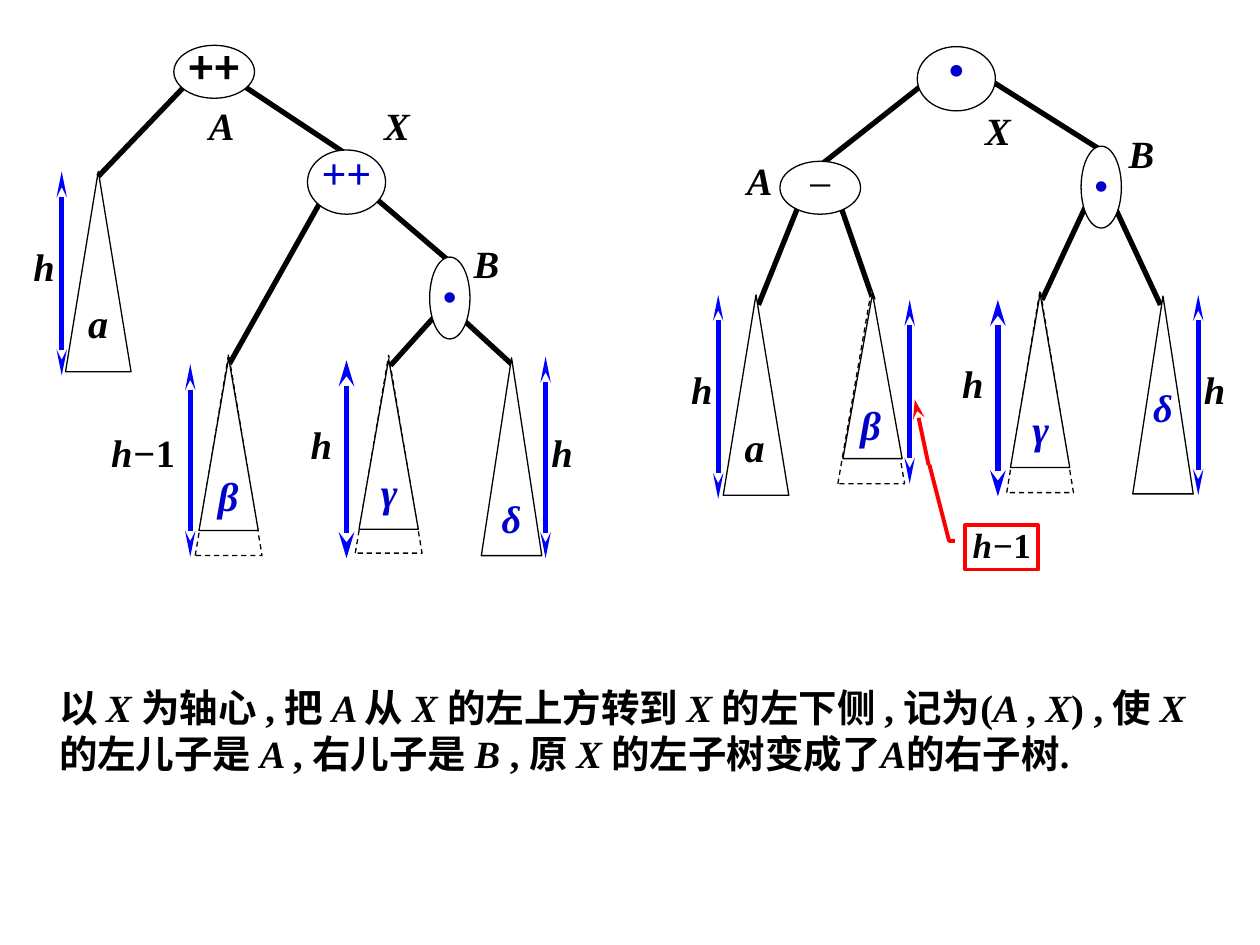
import pptx
import pptx.util
import pptx.dml.color
import pptx.enum.dml
import pptx.enum.shapes
import pptx.enum.text
import pptx.oxml.ns
from dataclasses import dataclass
from lxml import etree

Inches, Pt = pptx.util.Inches, pptx.util.Pt
Shape = pptx.enum.shapes.MSO_SHAPE
Align = pptx.enum.text.PP_ALIGN
Anchor = pptx.enum.text.MSO_ANCHOR
qn = pptx.oxml.ns.qn


@dataclass(frozen=True)
class Theme:
    black: str = "000000"
    white: str = "FFFFFF"
    blue: str = "0000FF"
    navy: str = "0000CC"
    red: str = "FF0000"
    serif: str = "Times New Roman"
    sans: str = "Noto Sans CJK SC"
    note: int = 20
    text: int = 22
    leaf: int = 23
    sign: int = 25
    dot: int = 28
    thin: float = 0.75
    mid: float = 2.25
    bold: float = 3


theme = Theme()


def color(code):
    return pptx.dml.color.RGBColor.from_string(code)


def write(frame, text, size, ink=theme.black, name=theme.serif, bold=True,
          italic=False, space=None, align=Align.CENTER, inset=(0, 0, 0, 0)):
    """Fill a frame; parts between asterisks are italic."""
    frame.margin_left, frame.margin_top, frame.margin_right, frame.margin_bottom = map(Inches, inset)
    frame.word_wrap = False
    para = frame.paragraphs[0]
    para.alignment, para.line_spacing = align, space
    font = para.font
    font.name, font.size, font.bold = name, Pt(size), bold
    font.color.rgb = color(ink)
    parts = text.split("*")
    if len(parts) == 1:
        font.italic = italic
    for i, part in enumerate(parts):
        if part:
            run = para.add_run()
            run.text = part
            if len(parts) > 1:
                run.font.italic = i % 2 == 1
    base = para._p.pPr.find(qn("a:defRPr"))
    etree.SubElement(base, qn("a:ea"), typeface=theme.sans)


def draw(group, kind, box, fill=theme.white, line=None, width=theme.thin):
    shape = group.shapes.add_shape(kind, *map(Inches, box))
    shape.shadow.inherit = False
    if fill:
        shape.fill.solid()
        shape.fill.fore_color.rgb = color(fill)
    else:
        shape.fill.background()
    if line:
        shape.line.color.rgb = color(line)
        shape.line.width = Pt(width)
    else:
        shape.line.fill.background()
    shape.text_frame.vertical_anchor = Anchor.MIDDLE
    return shape


def link(group, ends, ink=theme.black, width=theme.bold, heads=(), wide="sm"):
    """Straight line; heads names the ends that carry an arrowhead."""
    line = group.shapes.add_connector(
        pptx.enum.shapes.MSO_CONNECTOR.STRAIGHT, *map(Inches, ends))
    line.line.color.rgb = color(ink)
    line.line.width = Pt(width)
    for head in heads:
        etree.SubElement(line.line._get_or_add_ln(), qn(f"a:{head}"),
                         type="stealth", w=wide, len="lg")
    etree.SubElement(line._element.spPr, qn("a:effectLst"))


def span(group, x, top, end, wide="sm"):
    """Height marker beside a subtree."""
    link(group, (x, top, x, end), theme.blue, heads=("headEnd", "tailEnd"), wide=wide)


def node(group, box, sign, size=theme.sign, ink=theme.navy, low=0, space=0.8, **style):
    shape = draw(group, Shape.OVAL, box, line=theme.black)
    write(shape.text_frame, sign, size, ink, space=space, inset=(0, 0, 0, low), **style)


def cone(group, box, dash=False):
    shape = draw(group, Shape.ISOSCELES_TRIANGLE, box, line=theme.black)
    if dash:
        shape.line.dash_style = pptx.enum.dml.MSO_LINE.DASH


def label(group, x, y, text, size=theme.text, ink=theme.black, wide=0.18):
    shape = draw(group, Shape.RECTANGLE, (x, y, wide, 0.35))
    write(shape.text_frame, text, size, ink, italic=True, space=0.9)


def tree(slide, edges, cones, spans, names, leaves):
    """Shared parts of a tree: edges, subtrees, heights and letters."""
    group = slide.shapes.add_group_shape()
    for ends in edges:
        link(group, ends)
    for item in cones:
        cone(group, *item)
    for item in spans:
        span(group, *item)
    for item in names:
        label(group, *item)
    for x, y, text, size in leaves:
        label(group, x, y, text, size, theme.navy)
    return group


def before(slide):
    group = tree(
        slide,
        edges=[(1.45, 0.7, 0.78, 1.4), (1.93, 0.68, 2.76, 1.23),
               (2.55, 1.59, 1.82, 2.89), (3, 1.59, 3.55, 2.06),
               (3.45, 2.51, 3.1, 2.9), (3.69, 2.55, 4.06, 2.89)],
        cones=[((0.52, 1.36, 0.52, 1.59),),
               ((1.55, 2.81, 0.53, 1.6), True), ((1.58, 2.84, 0.47, 1.37),),
               ((2.82, 2.82, 0.53, 1.57), True), ((2.85, 2.85, 0.47, 1.35),),
               ((3.82, 2.84, 0.48, 1.57),)],
        spans=[(0.49, 1.36, 2.98), (1.51, 2.89, 4.42),
               (2.75, 2.86, 4.43, "med"), (4.33, 2.83, 4.43)],
        names=[(0.26, 1.96, "h"), (2.46, 3.37, "h"), (4.37, 3.44, "h"),
               (1.67, 0.84, "A"), (3.06, 0.84, "X"), (3.77, 1.94, "B"),
               (0.69, 2.41, "a", theme.leaf)],
        leaves=[(1.72, 3.78, "β", theme.leaf), (3, 3.75, "γ", theme.leaf),
                (3.97, 3.96, "δ", theme.text)])
    label(group, 0.84, 3.44, "*h−*1", wide=0.59)
    node(group, (1.38, 0.36, 0.64, 0.42), "++", ink=theme.black, name=theme.sans)
    node(group, (2.44, 1.19, 0.62, 0.51), "++", low=0.08)
    node(group, (3.41, 2.04, 0.32, 0.65), "•", space=0.9, bold=False)


def after(slide):
    group = tree(
        slide,
        edges=[(7.3, 0.69, 6.5, 1.32), (7.88, 0.65, 8.72, 1.18),
               (6.35, 1.6, 6.02, 2.42), (6.68, 1.66, 6.93, 2.38),
               (8.62, 1.63, 8.27, 2.38), (8.86, 1.67, 9.21, 2.42)],
        cones=[((5.74, 2.34, 0.52, 1.59),),
               ((6.65, 2.31, 0.53, 1.53), True), ((6.69, 2.33, 0.47, 1.31),),
               ((7.99, 2.3, 0.53, 1.61), True), ((8.02, 2.33, 0.47, 1.38),),
               ((8.99, 2.35, 0.48, 1.57),)],
        spans=[(5.7, 2.34, 3.96), (7.22, 2.38, 3.84),
               (7.92, 2.38, 3.94, "med"), (9.51, 2.34, 3.93)],
        names=[(5.48, 2.94, "h"), (7.63, 2.89, "h"), (9.55, 2.94, "h"),
               (5.94, 1.28, "A"), (7.83, 0.88, "X"), (8.97, 1.06, "B"),
               (5.9, 3.39, "a", theme.leaf)],
        leaves=[(6.82, 3.22, "β", theme.leaf), (8.17, 3.25, "γ", theme.leaf),
                (9.14, 3.08, "δ", theme.text)])
    node(group, (6.19, 1.28, 0.64, 0.42), "−", ink=theme.black, bold=False)
    node(group, (7.28, 0.37, 0.62, 0.51), "•", theme.dot, low=0.08, bold=False)
    node(group, (8.58, 1.16, 0.32, 0.65), "•", space=0.9, bold=False)

    # Callout for the shorter subtree
    note = draw(group, Shape.LINE_CALLOUT_2, (7.66, 4.17, 0.58, 0.35),
                None, theme.red, theme.mid)
    for i, value in enumerate((0.35, -0.14, 0.35, -0.22, -1.38, -0.49)):
        note.adjustments[i] = value
    write(note.text_frame, "*h−*1", theme.note, inset=(0, 0, 0, 0.04))
    link(group, (7.37, 3.69, 7.26, 3.17), theme.red, theme.mid, ("tailEnd",), "med")


def explain(slide):
    frame = slide.shapes.add_textbox(*map(Inches, (0.37, 5.43, 9.29, 0.78))).text_frame
    write(frame,
          "以 *X *为轴心 , 把 *A *从 *X *的左上方转到 *X *的左下侧 , 记为(*A *, *X*) , "
          "使 *X *的左儿子是 *A *, 右儿子是 *B *, 原 *X *的左子树变成了*A*的右子树.",
          theme.text, align=Align.LEFT, inset=(0.1, 0, 0, 0.05))
    frame.word_wrap = True


def main():
    deck = pptx.Presentation()
    deck.slide_width, deck.slide_height = Inches(10), Inches(7.5)
    slide = deck.slides.add_slide(deck.slide_layouts[6])
    before(slide)
    after(slide)
    explain(slide)
    deck.save("out.pptx")


if __name__ == "__main__":
    main()
